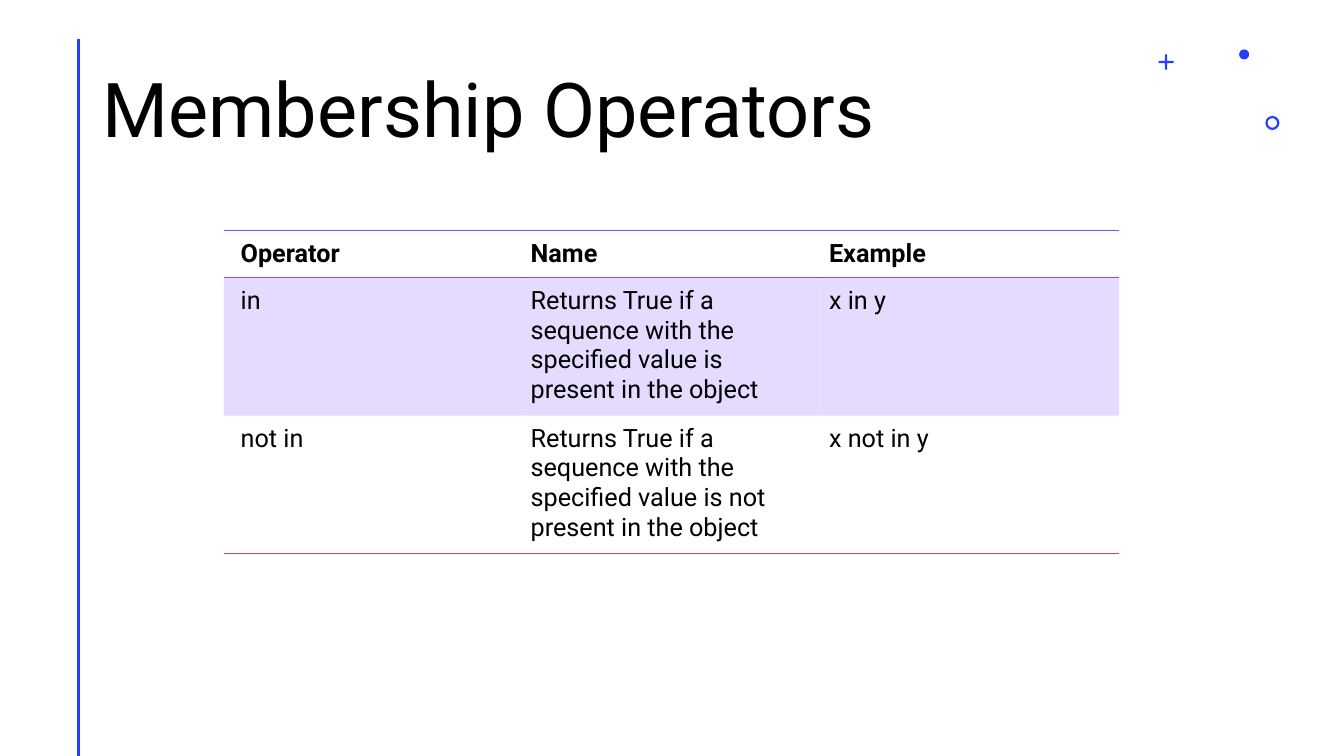
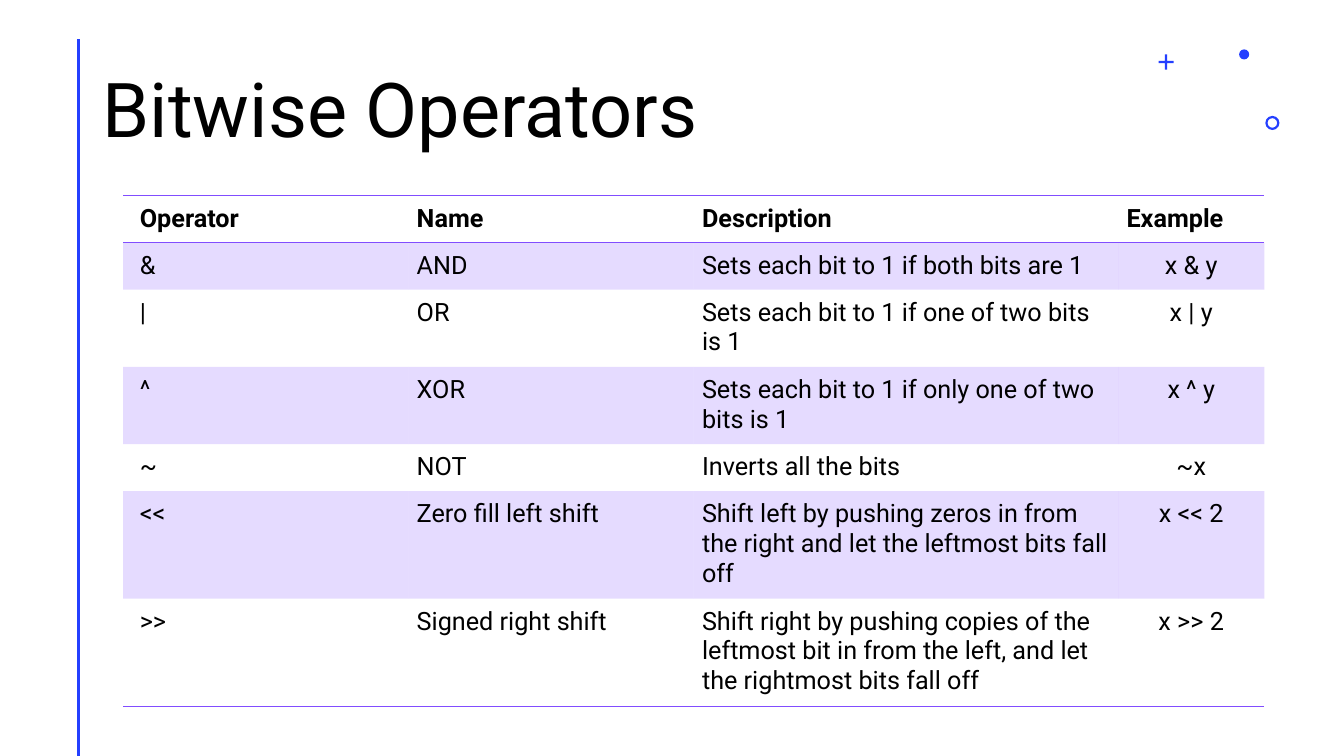
import lxml.etree
import pptx
import pptx.dml.color
import pptx.enum.shapes
import pptx.enum.text
import pptx.oxml.ns
import pptx.util

Inches = pptx.util.Inches
Pt = pptx.util.Pt
qn = pptx.oxml.ns.qn
ShapeKind = pptx.enum.shapes.MSO_SHAPE
Align = pptx.enum.text.PP_ALIGN

COLORS = {"accent": "243FFF", "table": "814DFF", "text": "000000", "background": "FFFFFF"}
FONT = "Roboto"
BAND_OPACITY = 20
NO_STYLE_NO_GRID = "{2D5ABB26-0587-4C30-8999-92F81FD0307C}"
LINE_HEIGHT = 0.29
ROW_PADDING = 0.17

MEMBERSHIP_ROWS = [
    ("Operator", "Name", "Example"),
    ("in", "Returns True if a sequence with the specified value is present in the object", "x in y"),
    ("not in", "Returns True if a sequence with the specified value is not present in the object", "x not in y"),
]
BITWISE_ROWS = [
    ("Operator", "Name", "Description", "Example"),
    ("&", "AND", "Sets each bit to 1 if both bits are 1", "x & y"),
    ("|", "OR", "Sets each bit to 1 if one of two bits is 1", "x | y"),
    ("^", "XOR", "Sets each bit to 1 if only one of two bits is 1", "x ^ y"),
    ("~", "NOT", "Inverts all the bits", "~x"),
    ("<<", "Zero fill left shift",
     "Shift left by pushing zeros in from the right and let the leftmost bits fall off", "x << 2"),
    (">>", "Signed right shift",
     "Shift right by pushing copies of the leftmost bit in from the left, and let the rightmost bits fall off",
     "x >> 2"),
]


def rgb(name):
    return pptx.dml.color.RGBColor.from_string(COLORS[name])


def write_text(text_frame, text, size=18, bold=False, align=Align.LEFT, line_spacing=None):
    text_frame.word_wrap = True
    paragraph = text_frame.paragraphs[0]
    paragraph.alignment = align
    paragraph.line_spacing = line_spacing
    run = paragraph.add_run()
    run.text = text
    run.font.name = FONT
    run.font.size = Pt(size)
    run.font.bold = bold
    run.font.color.rgb = rgb("text")


def add_ornament(slide, kind, left, top, size, adjustment=None):
    shape = slide.shapes.add_shape(kind, Inches(left), Inches(top), Inches(size), Inches(size))
    shape.shadow.inherit = False
    shape.fill.solid()
    shape.fill.fore_color.rgb = rgb("accent")
    shape.line.fill.background()
    if adjustment is not None:
        shape.adjustments[0] = adjustment


def add_side_line(slide):
    connector = slide.shapes.add_connector(
        pptx.enum.shapes.MSO_CONNECTOR.STRAIGHT, Inches(0.78), Inches(0.39), Inches(0.78), Inches(7.5))
    connector.line.color.rgb = rgb("accent")
    connector.line.width = Pt(2)
    lxml.etree.SubElement(connector._element.spPr, qn("a:effectLst"))


def add_title(slide, title):
    box = slide.shapes.add_textbox(Inches(0.92), Inches(0.4), Inches(11.5), Inches(1.45))
    box.text_frame.vertical_anchor = pptx.enum.text.MSO_ANCHOR.MIDDLE
    write_text(box.text_frame, title, size=54, line_spacing=0.9)


def add_base_slide(presentation, title):
    slide = presentation.slides.add_slide(presentation.slide_layouts[6])
    slide.background.fill.solid()
    slide.background.fill.fore_color.rgb = rgb("background")
    add_side_line(slide)
    add_ornament(slide, ShapeKind.CROSS, 11.49, 0.54, 0.15, 0.43)
    add_ornament(slide, ShapeKind.DONUT, 12.55, 1.15, 0.14, 0.16)
    add_ornament(slide, ShapeKind.OVAL, 12.29, 0.49, 0.1)
    add_title(slide, title)
    return slide


def set_border(cell, side):
    line = lxml.etree.SubElement(cell._tc.get_or_add_tcPr(), qn("a:" + side), w=str(Pt(1)))
    fill = lxml.etree.SubElement(line, qn("a:solidFill"))
    lxml.etree.SubElement(fill, qn("a:srgbClr"), val=COLORS["table"])


def fill_cell(cell, banded):
    if not banded:
        cell.fill.background()
        return
    cell.fill.solid()
    cell.fill.fore_color.rgb = rgb("table")
    color = cell._tc.tcPr.find(qn("a:solidFill")).find(qn("a:srgbClr"))
    lxml.etree.SubElement(color, qn("a:alpha"), val=str(BAND_OPACITY * 1000))


def add_operator_table(slide, rows, left, top, widths, line_counts, centered_column=None):
    heights = [ROW_PADDING + LINE_HEIGHT * count for count in line_counts]
    frame = slide.shapes.add_table(
        len(rows), len(widths), Inches(left), Inches(top), Inches(sum(widths)), Inches(sum(heights)))
    table = frame.table
    table._tbl.tblPr.find(qn("a:tableStyleId")).text = NO_STYLE_NO_GRID
    for column, width in zip(table.columns, widths):
        column.width = Inches(width)
    for row_index, (values, height) in enumerate(zip(rows, heights)):
        table.rows[row_index].height = Inches(height)
        is_header = row_index == 0
        for column_index, value in enumerate(values):
            cell = table.cell(row_index, column_index)
            cell.margin_left = Pt(12 if column_index == 0 else 6)
            cell.margin_right = cell.margin_top = cell.margin_bottom = Pt(6)
            is_centered = column_index == centered_column and not is_header
            write_text(cell.text_frame, value, bold=is_header,
                       align=Align.CENTER if is_centered else Align.LEFT)
            if is_header:
                set_border(cell, "lnT")
            if is_header or row_index == len(rows) - 1:
                set_border(cell, "lnB")
            fill_cell(cell, banded=row_index % 2 == 1)


def main():
    presentation = pptx.Presentation()
    presentation.slide_width = Inches(13.33)
    presentation.slide_height = Inches(7.5)

    membership = add_base_slide(presentation, "Membership Operators")
    add_operator_table(membership, MEMBERSHIP_ROWS, 2.22, 2.29, [2.96] * 3, [1, 4, 4])

    bitwise = add_base_slide(presentation, "Bitwise Operators")
    add_operator_table(bitwise, BITWISE_ROWS, 1.22, 1.94, [2.83, 2.83, 4.21, 1.45],
                       [1, 1, 2, 2, 1, 3, 3], centered_column=3)

    presentation.save("out.pptx")


if __name__ == "__main__":
    main()
